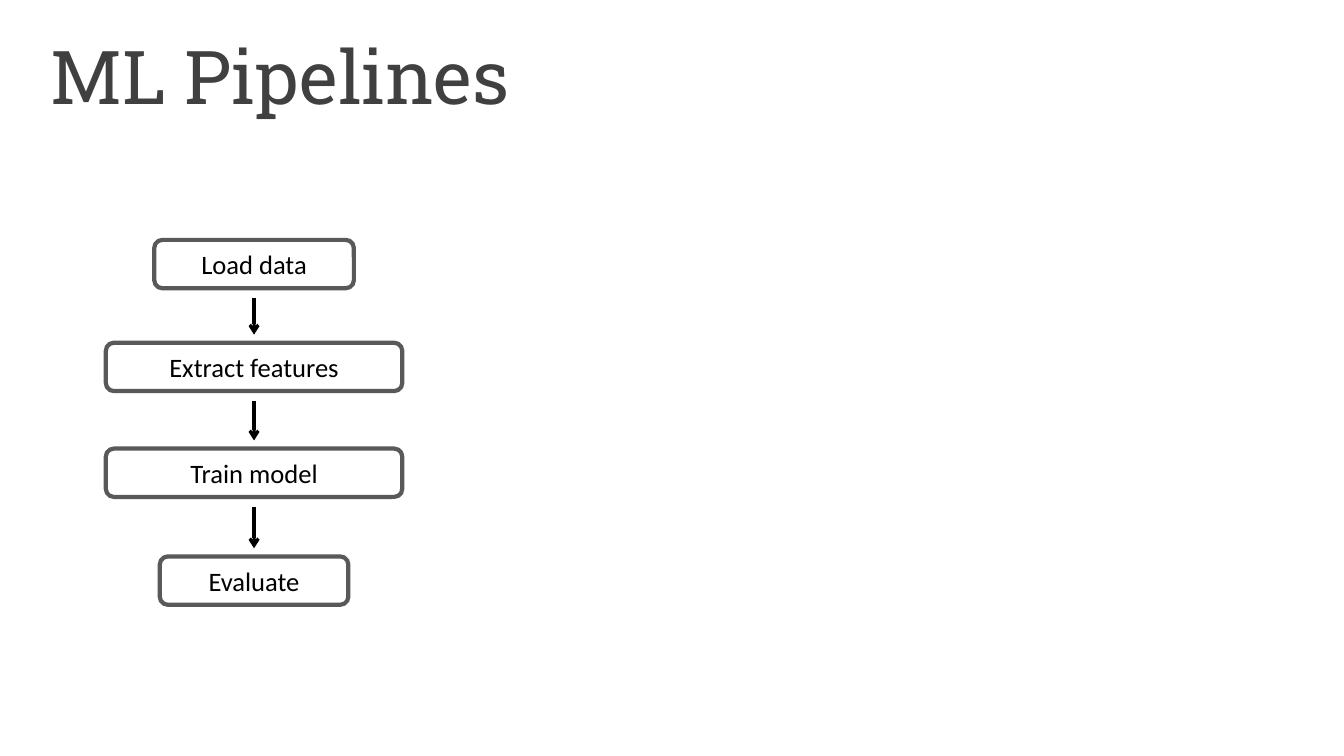
from dataclasses import dataclass
from itertools import pairwise

from lxml.etree import SubElement
from pptx import Presentation
from pptx.dml.color import RGBColor as Color
from pptx.enum.shapes import MSO_CONNECTOR as Connector, MSO_SHAPE as Shape
from pptx.enum.text import MSO_ANCHOR as Anchor, PP_ALIGN as Align
from pptx.oxml.ns import qn
from pptx.util import Inches, Pt

TITLE = "ML Pipelines"
STEPS = [
    ("Load data", 2.38, 1.98),
    ("Extract features", 3.40, 2.94),
    ("Train model", 4.45, 2.94),
    ("Evaluate", 5.52, 1.87),
]

WIDTH, HEIGHT = 13.33, 7.5
AXIS = 2.52
STEP_HEIGHT = 0.48
GAP_AFTER, GAP_BEFORE = 0.1, 0.08


@dataclass(frozen=True)
class Theme:
    title_font: str = "Roboto Slab"
    body_font: str = "Calibri"
    title_size: int = 53
    body_size: int = 19
    title: str = "404040"
    ink: str = "000000"
    border: str = "595959"
    paper: str = "FFFFFF"
    border_width: float = 3
    arrow_width: float = 2.25


THEME = Theme()


def write(box, text, font, size, color, align=Align.LEFT, anchor=Anchor.TOP, spacing=1.0):
    frame = box.text_frame
    frame.word_wrap = True
    frame.vertical_anchor = anchor
    frame.margin_left = frame.margin_right = Inches(0.13)
    frame.margin_top = frame.margin_bottom = Inches(0.07)
    para = frame.paragraphs[0]
    para.alignment = align
    para.line_spacing = spacing
    span = para.add_run()
    span.text = text
    span.font.name = font
    span.font.size = Pt(size)
    span.font.color.rgb = Color.from_string(color)


def add_step(page, text, top, width):
    box = page.shapes.add_shape(
        Shape.ROUNDED_RECTANGLE,
        Inches(AXIS - width / 2), Inches(top), Inches(width), Inches(STEP_HEIGHT),
    )
    box.shadow.inherit = False
    box.fill.background()
    box.line.color.rgb = Color.from_string(THEME.border)
    box.line.width = Pt(THEME.border_width)
    write(box, text, THEME.body_font, THEME.body_size, THEME.ink,
          align=Align.CENTER, anchor=Anchor.MIDDLE)


def add_arrow(page, start, end):
    arrow = page.shapes.add_connector(
        Connector.STRAIGHT, Inches(AXIS), Inches(start), Inches(AXIS), Inches(end))
    arrow.line.color.rgb = Color.from_string(THEME.ink)
    arrow.line.width = Pt(THEME.arrow_width)
    SubElement(arrow.line._get_or_add_ln(), qn("a:tailEnd"), type="arrow")
    SubElement(arrow._element.spPr, qn("a:effectLst"))


def main():
    deck = Presentation()
    deck.slide_width, deck.slide_height = Inches(WIDTH), Inches(HEIGHT)
    page = deck.slides.add_slide(deck.slide_layouts[6])
    page.background.fill.solid()
    page.background.fill.fore_color.rgb = Color.from_string(THEME.paper)

    heading = page.shapes.add_textbox(Inches(0.37), Inches(0.3), Inches(12.48), Inches(1.25))
    write(heading, TITLE, THEME.title_font, THEME.title_size, THEME.title, spacing=0.95)

    for text, top, width in STEPS:
        add_step(page, text, top, width)
    for (_, upper, _), (_, lower, _) in pairwise(STEPS):
        add_arrow(page, upper + STEP_HEIGHT + GAP_AFTER, lower - GAP_BEFORE)

    deck.save("out.pptx")


if __name__ == "__main__":
    main()
